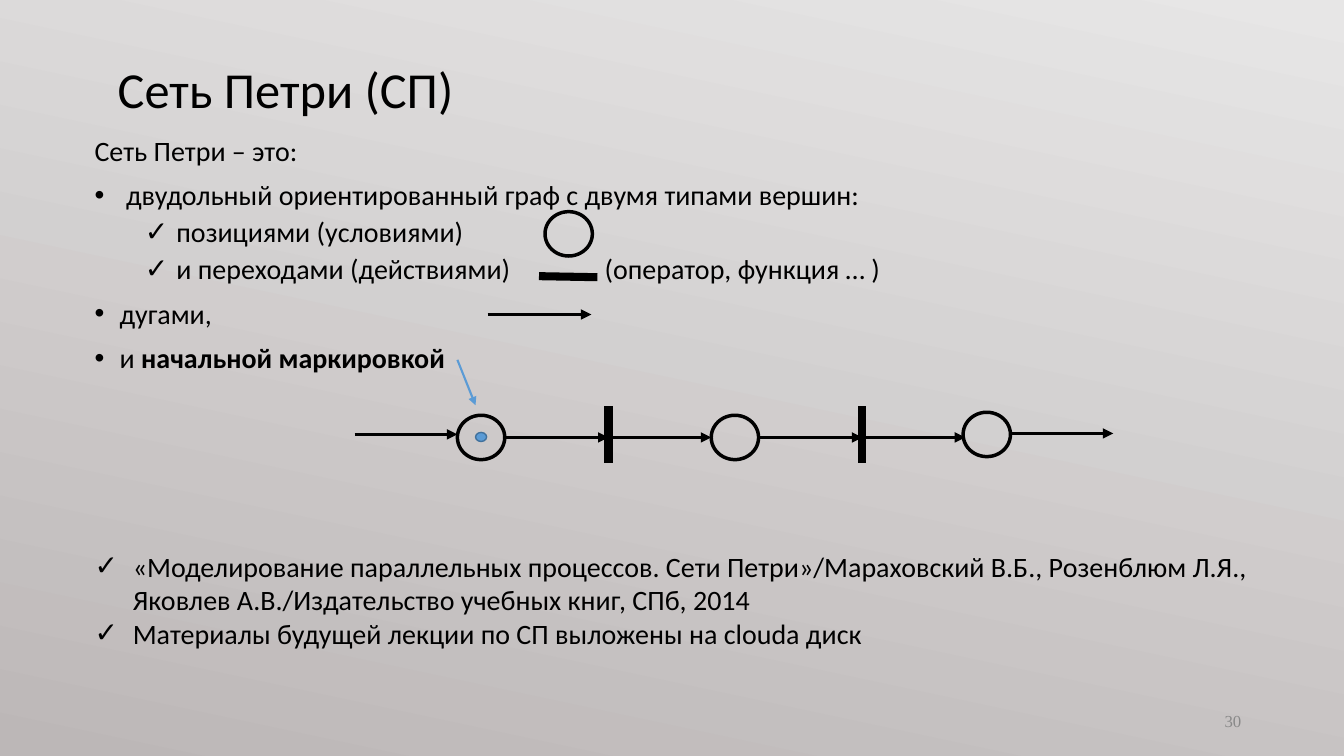
from dataclasses import dataclass

import pptx
import pptx.dml.color
import pptx.enum.shapes
import pptx.enum.text
import pptx.oxml.ns
import pptx.util
from lxml import etree
from pptx.util import Inches


@dataclass(frozen=True)
class Theme:
    ink: str = "000000"
    muted: str = "898989"
    accent: str = "5B9BD5"
    accent_dark: str = "41719C"
    bg_light: str = "E7E6E6"
    bg_dark: str = "BCB7B7"
    font: str = "Calibri"
    number_font: str = "Times New Roman"
    title: int = 36
    body: int = 20
    number: int = 12
    line: float = 2.5
    bar: float = 5.75


T = Theme()
ANCHOR = pptx.enum.text.MSO_ANCHOR
ALIGN = pptx.enum.text.PP_ALIGN
CIRCLE_W, CIRCLE_H = 0.47, 0.44


def rgb(value):
    return pptx.dml.color.RGBColor.from_string(value)


def add_xml(parent, tag, **attrs):
    return etree.SubElement(parent, pptx.oxml.ns.qn(tag), attrs)


def set_background(s):
    fill = s.background.fill
    fill.gradient()
    fill.gradient_angle = 258
    for stop, color in zip(fill.gradient_stops, (T.bg_light, T.bg_dark)):
        stop.color.rgb = rgb(color)


def add_text_box(s, x, y, w, h, anchor=ANCHOR.TOP):
    tf = s.shapes.add_textbox(Inches(x), Inches(y), Inches(w), Inches(h)).text_frame
    tf.word_wrap = True
    tf.vertical_anchor = anchor
    return tf


def add_paragraph(tf, text, size=T.body, font=T.font, color=T.ink, bold_text="",
                  spacing=None, before=0, align=ALIGN.LEFT):
    p = tf.paragraphs[0]
    if p.runs:
        p = tf.add_paragraph()
    p.alignment = align
    p.space_before = pptx.util.Pt(before)
    if spacing:
        p.line_spacing = spacing
    for part, bold in ((text, False), (bold_text, True)):
        if part:
            r = p.add_run()
            r.text = part
            r.font.size = pptx.util.Pt(size)
            r.font.name = font
            r.font.bold = bold
            r.font.color.rgb = rgb(color)
    return p


def add_bullet(p, char, margin, hanging, tab=None):
    pPr = p._p.get_or_add_pPr()
    pPr.set("marL", str(Inches(margin)))
    pPr.set("indent", str(-Inches(hanging)))
    add_xml(add_xml(pPr, "a:buClr"), "a:srgbClr", val=T.ink)
    add_xml(pPr, "a:buFont", typeface="Arial")
    add_xml(pPr, "a:buChar", char=char)
    if tab:
        add_xml(add_xml(pPr, "a:tabLst"), "a:tab", pos=str(Inches(tab)), algn="l")


def add_ellipse(s, x, y, w=CIRCLE_W, h=CIRCLE_H, fill=None, color=T.ink, width=T.line):
    sp = s.shapes.add_shape(pptx.enum.shapes.MSO_SHAPE.OVAL,
                            Inches(x), Inches(y), Inches(w), Inches(h))
    sp.shadow.inherit = False
    if fill:
        sp.fill.solid()
        sp.fill.fore_color.rgb = rgb(fill)
    else:
        sp.fill.background()
    sp.line.color.rgb = rgb(color)
    sp.line.width = pptx.util.Pt(width)


def add_line(s, x1, y1, x2, y2, color=T.ink, width=T.line, arrow=False):
    sp = s.shapes.add_connector(pptx.enum.shapes.MSO_CONNECTOR.STRAIGHT,
                                Inches(x1), Inches(y1), Inches(x2), Inches(y2))
    sp.line.color.rgb = rgb(color)
    sp.line.width = pptx.util.Pt(width)
    if arrow:
        add_xml(sp.line._ln, "a:tailEnd", type="triangle")
    add_xml(sp._element.spPr, "a:effectLst")


def add_definition(s):
    tf = add_text_box(s, 0.84, 1.31, 11.5, 2.68)
    add_paragraph(tf, "Сеть Петри – это:", spacing=0.9, before=10)
    items = [
        (0, " двудольный ориентированный граф с двумя типами вершин:", ""),
        (1, " позициями (условиями)", ""),
        (1, " и переходами (действиями)\t (оператор, функция … )", ""),
        (0, "дугами,", ""),
        (0, "и ", "начальной маркировкой"),
    ]
    for level, text, bold_text in items:
        p = add_paragraph(tf, text, bold_text=bold_text, spacing=0.9,
                          before=5 if level else 10)
        p.level = level
        add_bullet(p, "✓" if level else "•", 0.25 + 0.5 * level, 0.25,
                   tab=5 if "\t" in text else None)


def add_legend(s):
    add_ellipse(s, 5.41, 2.1)
    add_line(s, 5.35, 2.74, 5.93, 2.75, width=T.bar)
    add_line(s, 4.84, 3.12, 5.87, 3.12, arrow=True)


def add_net(s):
    pitch, axis = 2.52, 4.34
    # Places, then transitions with their arcs
    for x, y in ((4.54, 4.12), (4.54 + pitch, 4.12), (9.56, 4.09)):
        add_ellipse(s, x, y)
    for i in range(2):
        bar_x = 6.04 + i * pitch
        add_line(s, bar_x, 4.03, bar_x, 4.59, width=T.bar)
        add_line(s, bar_x - 1.03, axis, bar_x, axis, arrow=True)
        add_line(s, bar_x, axis, bar_x + 1.02, axis, arrow=True)
    # Incoming and outgoing arcs
    add_line(s, 3.52, 4.31, 4.54, 4.31, arrow=True)
    add_line(s, 10.03, 4.3, 11.05, 4.3, arrow=True)
    # Initial marking
    add_ellipse(s, 4.72, 4.29, 0.11, 0.09, T.accent, T.accent_dark, 1)
    add_line(s, 4.54, 3.57, 4.72, 4.02, T.accent, 1.5, arrow=True)


def add_sources(s):
    tf = add_text_box(s, 0.84, 5.4, 11.97, 1.44)
    for text in (
        "«Моделирование параллельных процессов. Сети Петри»/Мараховский В.Б., "
        "Розенблюм Л.Я., Яковлев А.В./Издательство учебных книг, СПб, 2014",
        "Материалы будущей лекции по СП выложены на clouda диск",
    ):
        add_bullet(add_paragraph(tf, text), "✓", 0.38, 0.38)


def main():
    prs = pptx.Presentation()
    prs.slide_width, prs.slide_height = Inches(13.34), Inches(7.5)
    s = prs.slides.add_slide(prs.slide_layouts[6])
    set_background(s)

    # Title and slide number
    tf = add_text_box(s, 1.07, 0.19, 11.5, 1.45, ANCHOR.MIDDLE)
    add_paragraph(tf, "Сеть Петри (СП)", T.title, spacing=0.9)
    tf = add_text_box(s, 9.42, 6.95, 3, 0.4, ANCHOR.MIDDLE)
    add_paragraph(tf, "30", T.number, T.number_font, T.muted, align=ALIGN.RIGHT)

    # Content
    add_definition(s)
    add_legend(s)
    add_net(s)
    add_sources(s)
    prs.save("out.pptx")


if __name__ == "__main__":
    main()
